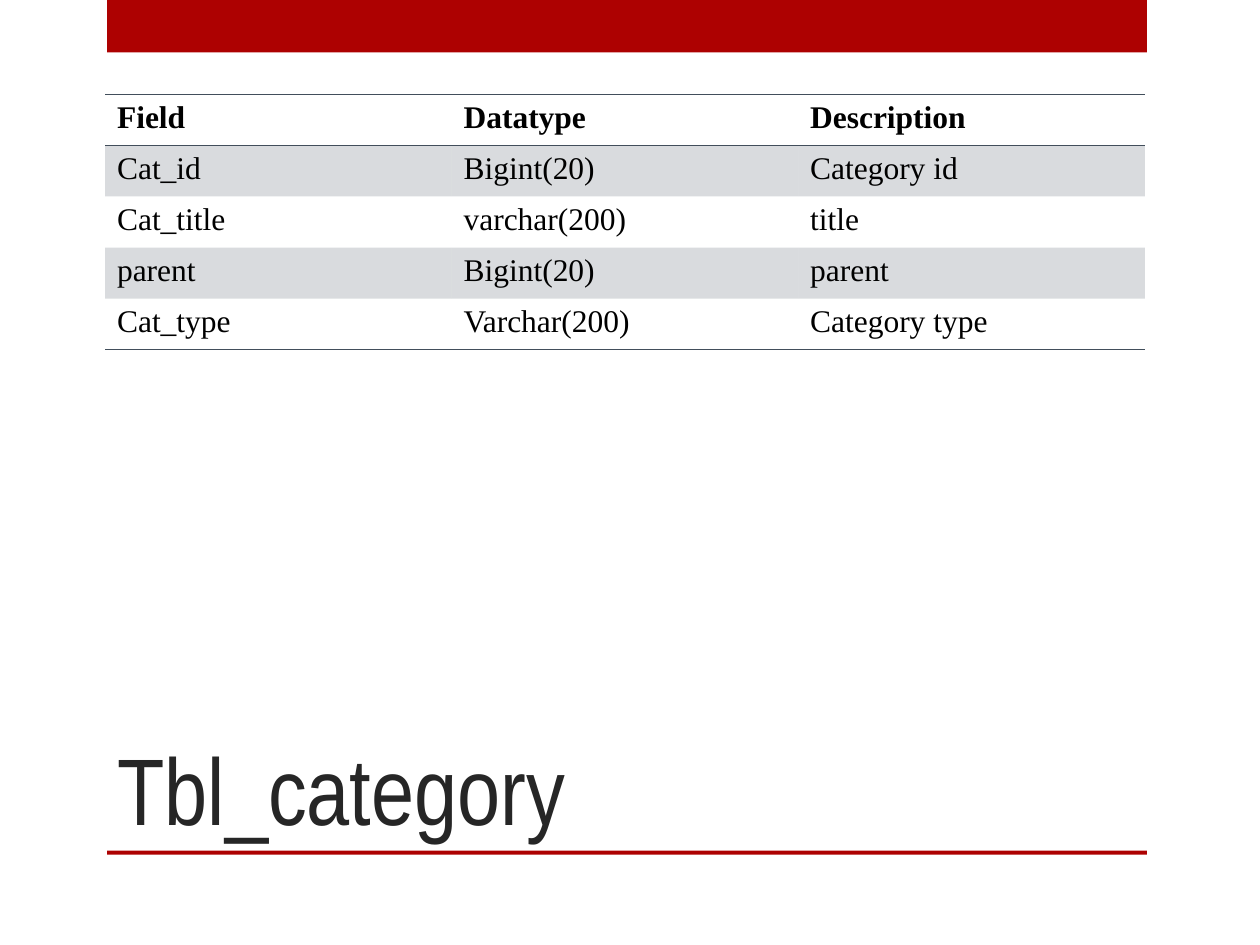
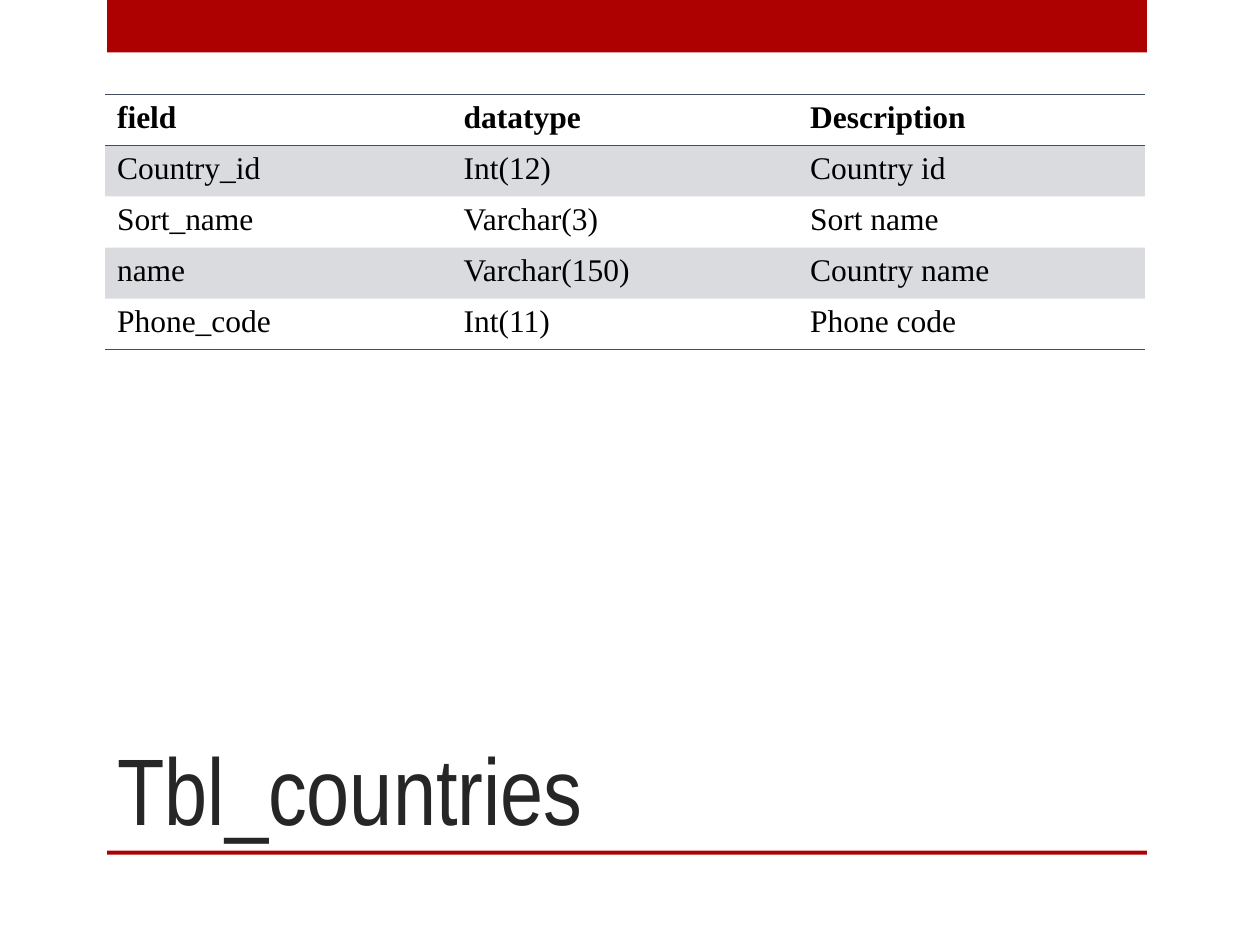
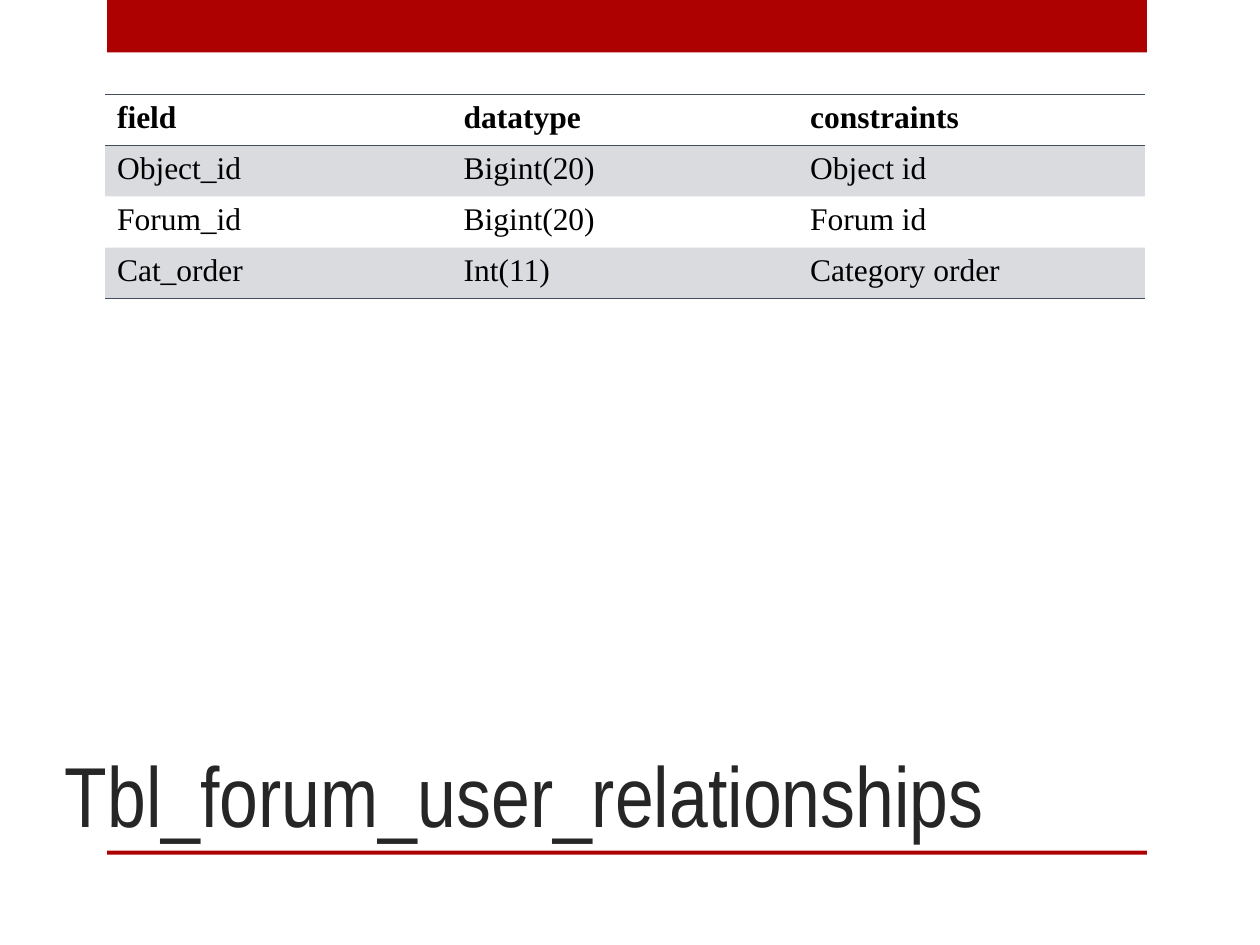
from dataclasses import dataclass

import pptx
import pptx.dml.color
import pptx.enum.shapes
import pptx.enum.text
import pptx.oxml
import pptx.oxml.ns
import pptx.util
from pptx.util import Cm


@dataclass(frozen=True)
class Theme:
    accent: str = "AD0101"
    title: str = "262626"
    body: str = "000000"
    table: str = "424E5B"
    band_alpha: int = 20
    title_font: str = "Arial Narrow"
    body_font: str = "Times New Roman"
    title_size: float = 54
    long_title_size: float = 48.6
    body_size: float = 18
    rule_width: float = 1


@dataclass(frozen=True)
class Box:
    left: float
    top: float
    width: float
    height: float

    def lengths(self):
        return Cm(self.left), Cm(self.top), Cm(self.width), Cm(self.height)


THEME = Theme()
NO_STYLE = "{2D5ABB26-0587-4C30-8999-92F81FD0307C}"
ROW_HEIGHT = 1.03
TOP_BAND = Box(2.16, 0, 20.96, 1.06)
TITLE_RULE = Box(2.16, 17.15, 20.96, 0.08)
TABLE_BOX = Box(2.12, 1.9, 20.96, 0)
TITLE_BOX = Box(2.12, 12.7, 18.85, 4.45)
LONG_TITLE_BOX = Box(1.06, 12.7, 23.28, 4.45)

SLIDES = [
    dict(
        title="Tbl_category",
        rows=[
            ("Field", "Datatype", "Description"),
            ("Cat_id", "Bigint(20)", "Category id"),
            ("Cat_title", "varchar(200)", "title"),
            ("parent", "Bigint(20)", "parent"),
            ("Cat_type", "Varchar(200)", "Category type"),
        ],
    ),
    dict(
        title="Tbl_countries",
        rows=[
            ("field", "datatype", "Description"),
            ("Country_id", "Int(12)", "Country id"),
            ("Sort_name", "Varchar(3)", "Sort name"),
            ("name", "Varchar(150)", "Country name"),
            ("Phone_code", "Int(11)", "Phone code"),
        ],
    ),
    dict(
        title="Tbl_forum_user_relationships",
        title_box=LONG_TITLE_BOX,
        title_size=THEME.long_title_size,
        rows=[
            ("field", "datatype", "constraints"),
            ("Object_id", "Bigint(20)", "Object id"),
            ("Forum_id", "Bigint(20)", "Forum id"),
            ("Cat_order", "Int(11)", "Category order"),
        ],
    ),
]


def rgb(color):
    return pptx.dml.color.RGBColor.from_string(color)


def write(tf, text, *, font, size, color, bold=False):
    r = tf.paragraphs[0].add_run()
    r.text = text
    r.font.name = font
    r.font.size = pptx.util.Pt(size)
    r.font.color.rgb = rgb(color)
    r.font.bold = bold


def add_bar(s, box):
    sp = s.shapes.add_shape(
        pptx.enum.shapes.MSO_SHAPE.RECTANGLE, *box.lengths())
    sp.shadow.inherit = False
    sp.fill.solid()
    sp.fill.fore_color.rgb = rgb(THEME.accent)
    sp.line.fill.background()


def add_title(s, box, text, size):
    tf = s.shapes.add_textbox(*box.lengths()).text_frame
    tf.word_wrap = True
    tf.vertical_anchor = pptx.enum.text.MSO_ANCHOR.BOTTOM
    write(tf, text, font=THEME.title_font, size=size, color=THEME.title)


def fill_band(cell):
    cell.fill.solid()
    cell.fill.fore_color.rgb = rgb(THEME.table)
    color = cell.fill._xPr.find(".//" + pptx.oxml.ns.qn("a:srgbClr"))
    alpha = color.makeelement(
        pptx.oxml.ns.qn("a:alpha"), {"val": str(THEME.band_alpha * 1000)})
    color.append(alpha)


def add_rules(cell, sides):
    tc_pr = cell._tc.get_or_add_tcPr()
    for i, side in enumerate(sides):
        line = pptx.oxml.parse_xml(
            f'<a:ln{side} {pptx.oxml.ns.nsdecls("a")} '
            f'w="{pptx.util.Pt(THEME.rule_width)}"><a:solidFill>'
            f'<a:srgbClr val="{THEME.table}"/></a:solidFill></a:ln{side}>')
        tc_pr.insert(i, line)


def add_field_table(s, box, rows):
    columns = len(rows[0])
    frame = s.shapes.add_table(
        len(rows), columns, Cm(box.left), Cm(box.top),
        Cm(box.width), Cm(ROW_HEIGHT * len(rows)))
    table = frame.table
    table.horz_banding = False
    table._tbl.tblPr.find(pptx.oxml.ns.qn("a:tableStyleId")).text = NO_STYLE
    for column in table.columns:
        column.width = Cm(box.width / columns)
    for i, values in enumerate(rows):
        table.rows[i].height = Cm(ROW_HEIGHT)
        sides = "TB" if i == 0 else "B" if i == len(rows) - 1 else ""
        for j, value in enumerate(values):
            cell = table.cell(i, j)
            cell.margin_left = cell.margin_right = Cm(0.24)
            cell.margin_top = cell.margin_bottom = Cm(0.12)
            write(cell.text_frame, value, font=THEME.body_font,
                  size=THEME.body_size, color=THEME.body, bold=i == 0)
            if i % 2:
                fill_band(cell)
            else:
                cell.fill.background()
            add_rules(cell, sides)


def add_table_slide(prs, title, rows, title_box=TITLE_BOX,
                    title_size=THEME.title_size):
    s = prs.slides.add_slide(prs.slide_layouts[6])
    add_bar(s, TOP_BAND)
    add_bar(s, TITLE_RULE)
    add_title(s, title_box, title, title_size)
    add_field_table(s, TABLE_BOX, rows)


def main():
    prs = pptx.Presentation()
    prs.slide_width = Cm(25.4)
    prs.slide_height = Cm(19.05)
    for content in SLIDES:
        add_table_slide(prs, **content)
    prs.save("out.pptx")


if __name__ == "__main__":
    main()
